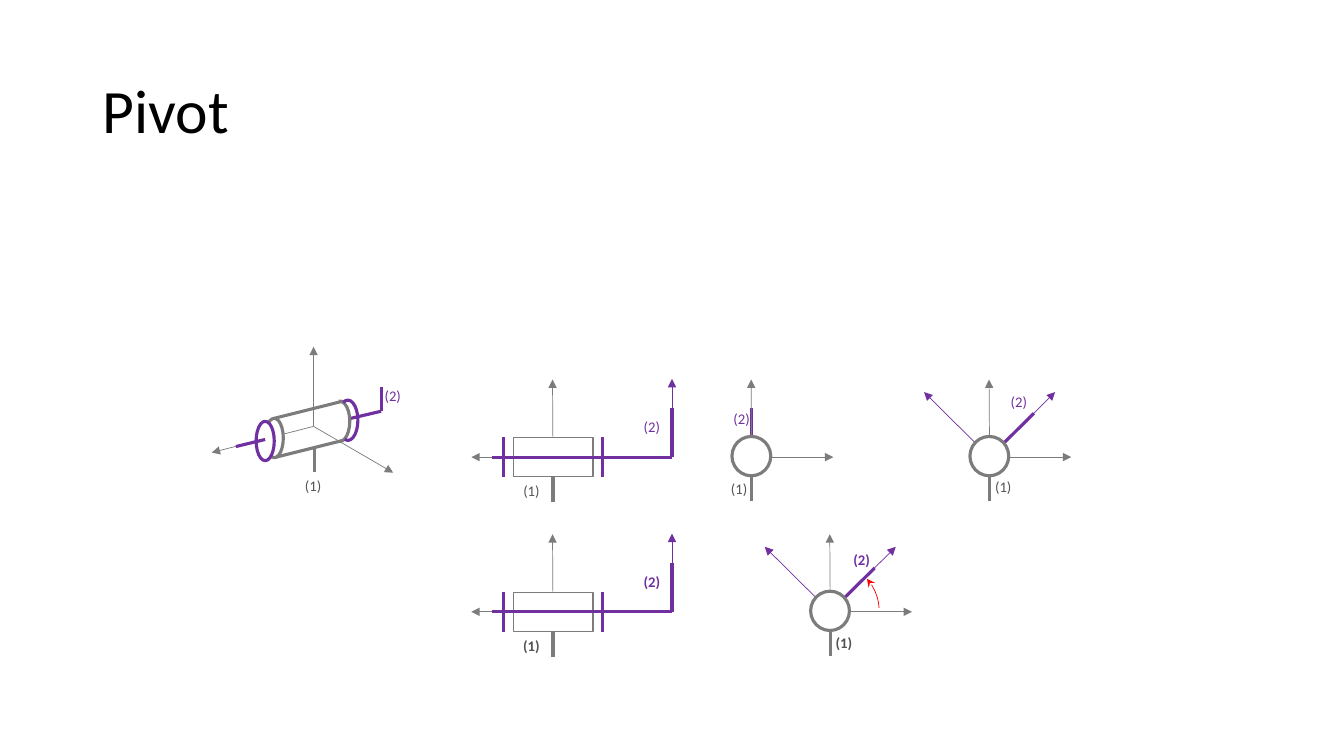
import pptx
import pptx.dml.color
import pptx.enum.shapes
import pptx.enum.text
import pptx.oxml.ns
import pptx.util
from lxml import etree

KIND = pptx.enum.shapes.MSO_SHAPE
GREY, PURPLE, RED, WHITE = "7C7C7C", "7030A0", "FF0000", "FFFFFF"
THIN, MEDIUM, THICK = 0.5, 1, 2.25
rgb = pptx.dml.color.RGBColor.from_string
qn = pptx.oxml.ns.qn

deck = pptx.Presentation()
deck.slide_width = pptx.util.Inches(13.33)
deck.slide_height = pptx.util.Inches(7.5)
CELL = deck.slide_height // 75  # all lengths below count square grid cells
slide = deck.slides.add_slide(deck.slide_layouts[6])


def draw_line(x1, y1, x2, y2, color, width, tail=None):
    ends = [round(n * CELL) for n in (x1, y1, x2, y2)]
    line = slide.shapes.add_connector(pptx.enum.shapes.MSO_CONNECTOR.STRAIGHT, *ends)
    line.line.color.rgb = rgb(color)
    line.line.width = pptx.util.Pt(width)
    if tail:
        etree.SubElement(line.line._get_or_add_ln(), qn("a:tailEnd"), type=tail)
    etree.SubElement(line._element.spPr, qn("a:effectLst"))
    return line


def draw_shape(kind, x, y, w, h, color, width, angles=()):
    """Draw a white-filled outline, or an open arc when angles are given."""
    shape = slide.shapes.add_shape(kind, *[round(n * CELL) for n in (x, y, w, h)])
    shape.shadow.inherit = False
    shape.line.color.rgb = rgb(color)
    shape.line.width = pptx.util.Pt(width)
    if angles:
        shape.fill.background()
        for index, angle in enumerate(angles):
            shape.adjustments[index] = angle
    else:
        shape.fill.solid()
        shape.fill.fore_color.rgb = rgb(WHITE)
    return shape


# Title
title = slide.shapes.add_textbox(*[round(n * CELL) for n in (9.2, 4, 115, 14.5)])
title.text_frame.word_wrap = True
title.text_frame.vertical_anchor = pptx.enum.text.MSO_ANCHOR.MIDDLE
heading = title.text_frame.paragraphs[0]
heading.text = "Pivot"
heading.line_spacing = 0.9
heading.font.name = "Calibri"
heading.font.size = pptx.util.Pt(44)
heading.font.color.rgb = rgb("000000")

# Perspective view
for tip_x, tip_y in [(21, 44.9), (31.1, 34.4), (39, 46.9)]:
    draw_line(31.1, 42.3, tip_x, tip_y, GREY, THIN, "triangle")
draw_line(31.2, 46.8, 31.2, 44.4, GREY, THICK)
for right_y, left_y in [(39.8, 41.5), (43.7, 45.4)]:
    draw_line(34, right_y, 27.2, left_y, GREY, THICK)
draw_shape(KIND.OVAL, 26.3, 41.5, 1.8, 3.9, GREY, THICK)
draw_line(37.8, 40.8, 34.8, 41.5, PURPLE, THICK)
draw_shape(KIND.ARC, 32.7, 39.8, 2, 4, GREY, THICK, (160.36, 53.32))
draw_line(37.8, 38.4, 37.8, 40.8, PURPLE, THICK)
draw_shape(KIND.OVAL, 25.4, 41.8, 1.8, 3.9, PURPLE, THICK)
draw_line(26.3, 43.6, 23.4, 44.3, PURPLE, THICK)
draw_shape(KIND.ARC, 33.5, 39.7, 2, 4, PURPLE, THICK, (153.37, 59.6))

# Each label: text, centre x, centre y, bold
labels = [("(2)", 38.95, 39.35, False), ("(1)", 31.05, 48.25, False)]
TOP_ROW, BOTTOM_ROW = 45.35, 60.7

# Side views
x, shaft_end = 54.85, 66.65
for y, bold in [(TOP_ROW, False), (BOTTOM_ROW, True)]:
    draw_line(x, y, x - 0.05, y - 7.7, GREY, THIN, "triangle")
    draw_line(x, y, x - 8.1, y, GREY, THIN, "triangle")
    sleeve = draw_shape(KIND.RECTANGLE, x - 3.95, y - 1.95, 7.9, 3.9, GREY, MEDIUM)
    support = draw_line(x, y + 4.5, x, y + 1.95, GREY, THICK)
    support.end_connect(sleeve, 2)
    draw_line(shaft_end, y - 4.85, shaft_end, y, PURPLE, THICK)
    draw_line(shaft_end, y, shaft_end, y - 7.75, PURPLE, THIN, "triangle")
    draw_line(shaft_end, y, x - 6, y, PURPLE, THICK)
    for collar in (x - 4.95, x + 4.95):
        draw_line(collar, y - 1.95, collar, y + 2, PURPLE, THICK)
    labels += [("(1)", x - 2.15, y + 3.4, bold), ("(2)", x + 9.8, y - 2.9, bold)]

# End views: centre, lever tip offset, label offsets, bold
end_views = [
    (74.55, TOP_ROW, (0, -4.85), (-1.25, 3.2), (-1, -3.7), False),
    (98.15, TOP_ROW, (4.4, -4.35), (1.35, 3), (2.9, -5.4), False),
    (82.35, BOTTOM_ROW, (4.4, -4.35), (1.35, 3.15), (3.1, -5.1), True),
]
for x, y, (lever_x, lever_y), first, second, bold in end_views:
    draw_line(x + lever_x, y + lever_y, x, y, PURPLE, THICK, "oval")
    if lever_x:
        for reach in (-6.5, 6.5):
            draw_line(x, y, x + reach, y - 6.45, PURPLE, THIN, "triangle")
    draw_line(x, y + 4.4, x, y, GREY, THICK)
    draw_line(x, y, x - 0.05, y - 7.7, GREY, THIN, "triangle")
    draw_line(x, y, x + 8.1, y, GREY, THIN, "triangle")
    draw_shape(KIND.OVAL, x - 1.95, y - 2.05, 3.85, 3.9, GREY, THICK)
    labels += [("(1)", x + first[0], y + first[1], bold),
               ("(2)", x + second[0], y + second[1], bold)]

# Rotation of part (2)
rotation = draw_shape(KIND.ARC, 77.5, 55.8, 9.7, 9.6, RED, THIN, (191.38, 214))
etree.SubElement(rotation.line._get_or_add_ln(), qn("a:headEnd"), type="stealth")

for text, x, y, bold in labels:
    box = slide.shapes.add_textbox(*[round(n * CELL) for n in (x - 1.95, y - 1.45, 3.9, 2.9)])
    box.text_frame.word_wrap = False
    box.text_frame.auto_size = pptx.enum.text.MSO_AUTO_SIZE.SHAPE_TO_FIT_TEXT
    part = box.text_frame.paragraphs[0]
    part.text = text
    part.alignment = pptx.enum.text.PP_ALIGN.CENTER
    part.font.name = "Calibri"
    part.font.size = pptx.util.Pt(10.5)
    part.font.bold = bold
    part.font.color.rgb = rgb(PURPLE if text == "(2)" else "525252")

deck.save("out.pptx")
